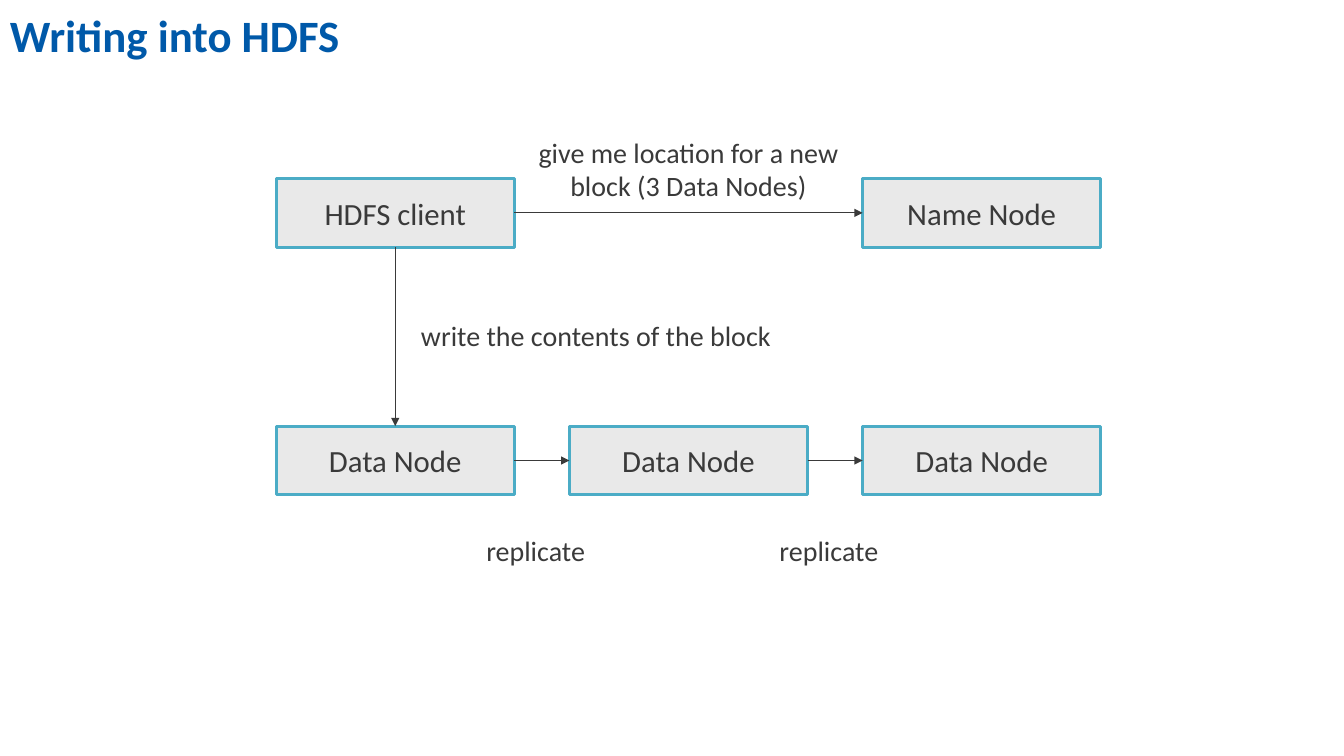
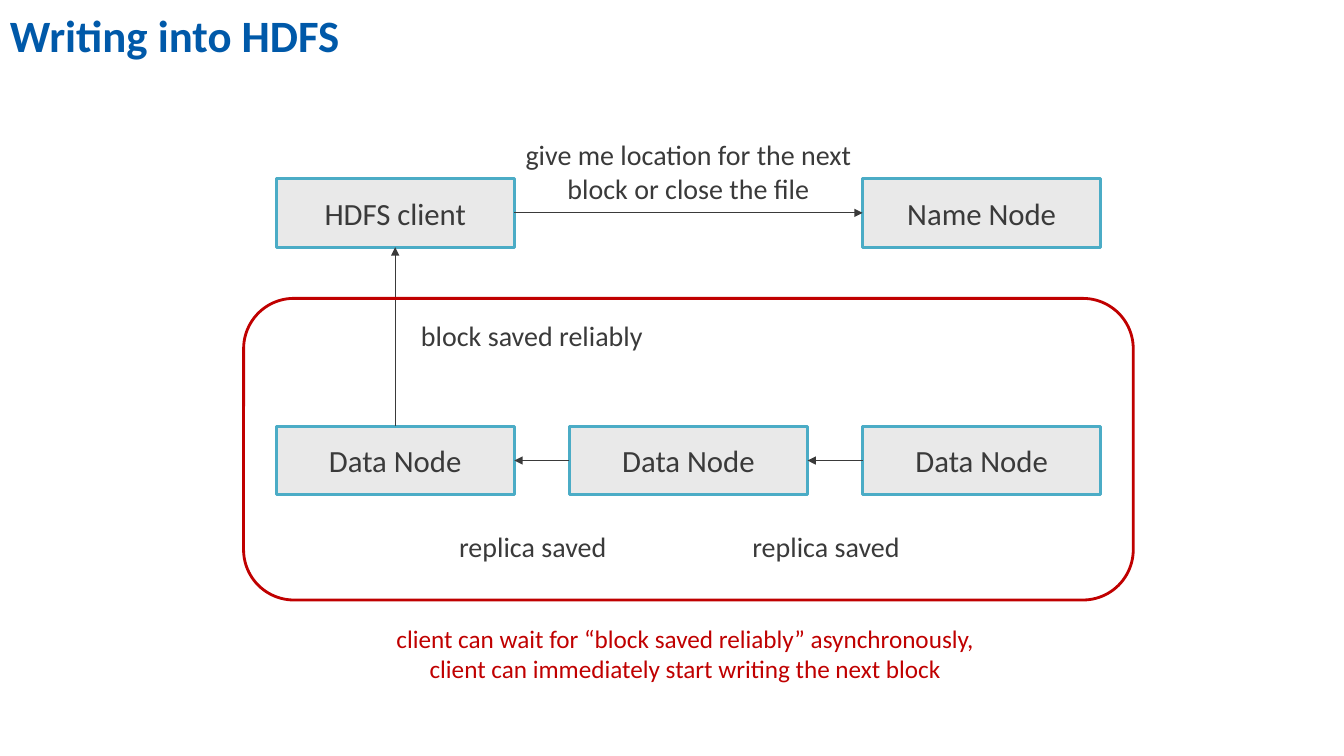
from pptx import Presentation
from pptx import util as u
from pptx.dml import color
from pptx.enum import shapes, text
from pptx.oxml import ns
from lxml import etree

INK, TITLE_BLUE, NODE_FILL, NODE_EDGE, ALERT = "3A3A3A", "0059A9", "E9E9E9", "4BACC6", "C00000"
TITLE = {"size": u.Pt(32), "bold": True}
NODE_TEXT = {"size": u.Pt(22)}
LABEL = {"size": u.Pt(20)}
CAPTION = {"size": u.Pt(18)}
TOP, LEFT, BOTTOM, RIGHT = range(4)
SLIDE_W, SLIDE_H = 33.87, 19.05
DIAGRAM = (6.96, 4.5, 20.78, 7.97)
NODE_W, NODE_H = 6, 1.73


def rgb(hex_code):
    return color.RGBColor.from_string(hex_code)


def set_all(target, values):
    for name, value in values.items():
        setattr(target, name, value)


def write(frame, words, font, ink, align=text.PP_ALIGN.LEFT, **layout):
    set_all(frame, layout)
    paragraph = frame.paragraphs[0]
    paragraph.text = words
    paragraph.alignment = align
    for run in paragraph.runs:
        set_all(run.font, {"name": "Calibri", **font})
        run.font.color.rgb = rgb(ink)


def add_label(slide, box, words, font=LABEL, ink=INK, **layout):
    label = slide.shapes.add_textbox(*map(u.Cm, box))
    write(label.text_frame, words, font, ink, **layout)


def add_outlined(slide, preset, box, edge, fill=None):
    outlined = slide.shapes.add_shape(preset, *map(u.Cm, box))
    outlined.shadow.inherit = False
    if fill:
        outlined.fill.solid()
        outlined.fill.fore_color.rgb = rgb(fill)
    else:
        outlined.fill.background()
    outlined.line.color.rgb = rgb(edge)
    outlined.line.width = u.Pt(2)
    return outlined


def add_node(slide, left, top, words):
    node = add_outlined(slide, shapes.MSO_SHAPE.RECTANGLE,
                        (left, top, NODE_W, NODE_H), NODE_EDGE, NODE_FILL)
    write(node.text_frame, words, NODE_TEXT, INK, text.PP_ALIGN.CENTER,
          word_wrap=True, vertical_anchor=text.MSO_ANCHOR.MIDDLE)
    return node


def add_arrow(slide, start, start_side, end, end_side, reverse=False):
    if reverse:
        start, start_side, end, end_side = end, end_side, start, start_side
    arrow = slide.shapes.add_connector(shapes.MSO_CONNECTOR.STRAIGHT, 0, 0, 0, 0)
    arrow.begin_connect(start, start_side)
    arrow.end_connect(end, end_side)
    arrow.line.color.rgb = rgb(INK)
    arrow.line.width = u.Pt(0.75)
    properties = arrow.element.spPr
    etree.SubElement(properties.find(ns.qn("a:ln")), ns.qn("a:tailEnd"), type="triangle")
    etree.SubElement(properties, ns.qn("a:effectLst"))


def add_title(slide, words):
    add_label(slide, (0, 0, SLIDE_W, 1.73), words, TITLE, TITLE_BLUE,
              word_wrap=True, vertical_anchor=text.MSO_ANCHOR.MIDDLE)


def add_diagram(slide, box, request, request_rise, transfer, replica, replica_w,
                replica_drop, acknowledging=False):
    left, top, width, height = box
    pitch = (width - NODE_W) / 2
    data_top = top + height - NODE_H
    client = add_node(slide, left, top, "HDFS client")
    name_node = add_node(slide, left + 2 * pitch, top, "Name Node")
    data_nodes = [add_node(slide, left + i * pitch, data_top, "Data Node") for i in range(3)]

    add_arrow(slide, client, RIGHT, name_node, LEFT)
    request_w = 9
    add_label(slide, (left + (width - request_w) / 2, top - request_rise, request_w, 1.96),
              request, align=text.PP_ALIGN.CENTER, word_wrap=True)

    add_arrow(slide, client, BOTTOM, data_nodes[0], TOP, acknowledging)
    add_label(slide, (left + NODE_W / 2 + 0.4, top + 3.4, 10, 1.12), transfer, word_wrap=False)

    for i, (near, far) in enumerate(zip(data_nodes, data_nodes[1:])):
        add_arrow(slide, near, RIGHT, far, LEFT, acknowledging)
        gap_center = left + i * pitch + (NODE_W + pitch) / 2
        add_label(slide, (gap_center - replica_w / 2 - 0.05, data_top + replica_drop,
                          replica_w, 1.12), replica, word_wrap=False)


def add_async_note(slide, box, words):
    left, top, width, height = box
    add_outlined(slide, shapes.MSO_SHAPE.ROUNDED_RECTANGLE,
                 (left - 0.82, top + 3.02, width + 1.64, 7.6), ALERT)
    caption_w = 16.5
    add_label(slide, (left + (width - caption_w) / 2 - 0.08, top + height + 3.1, caption_w, 1.8),
              words, CAPTION, ALERT, align=text.PP_ALIGN.CENTER, word_wrap=True)


def main():
    deck = Presentation()
    set_all(deck, {"slide_width": u.Cm(SLIDE_W), "slide_height": u.Cm(SLIDE_H)})
    steps = [
        dict(request="give me location for a new block (3 Data Nodes)", request_rise=1.22,
             transfer="write the contents of the block",
             replica="replicate", replica_w=3.2, replica_drop=2.57),
        dict(request="give me location for the next block or close the file", request_rise=1.15,
             transfer="block saved reliably",
             replica="replica saved", replica_w=4.57, replica_drop=2.48, acknowledging=True),
    ]
    for step in steps:
        slide = deck.slides.add_slide(deck.slide_layouts[6])
        add_title(slide, "Writing into HDFS")
        add_diagram(slide, DIAGRAM, **step)
    add_async_note(slide, DIAGRAM,
                   "client can wait for “block saved reliably” asynchronously,\v"
                   "client can immediately start writing the next block")
    deck.save("out.pptx")


if __name__ == "__main__":
    main()
